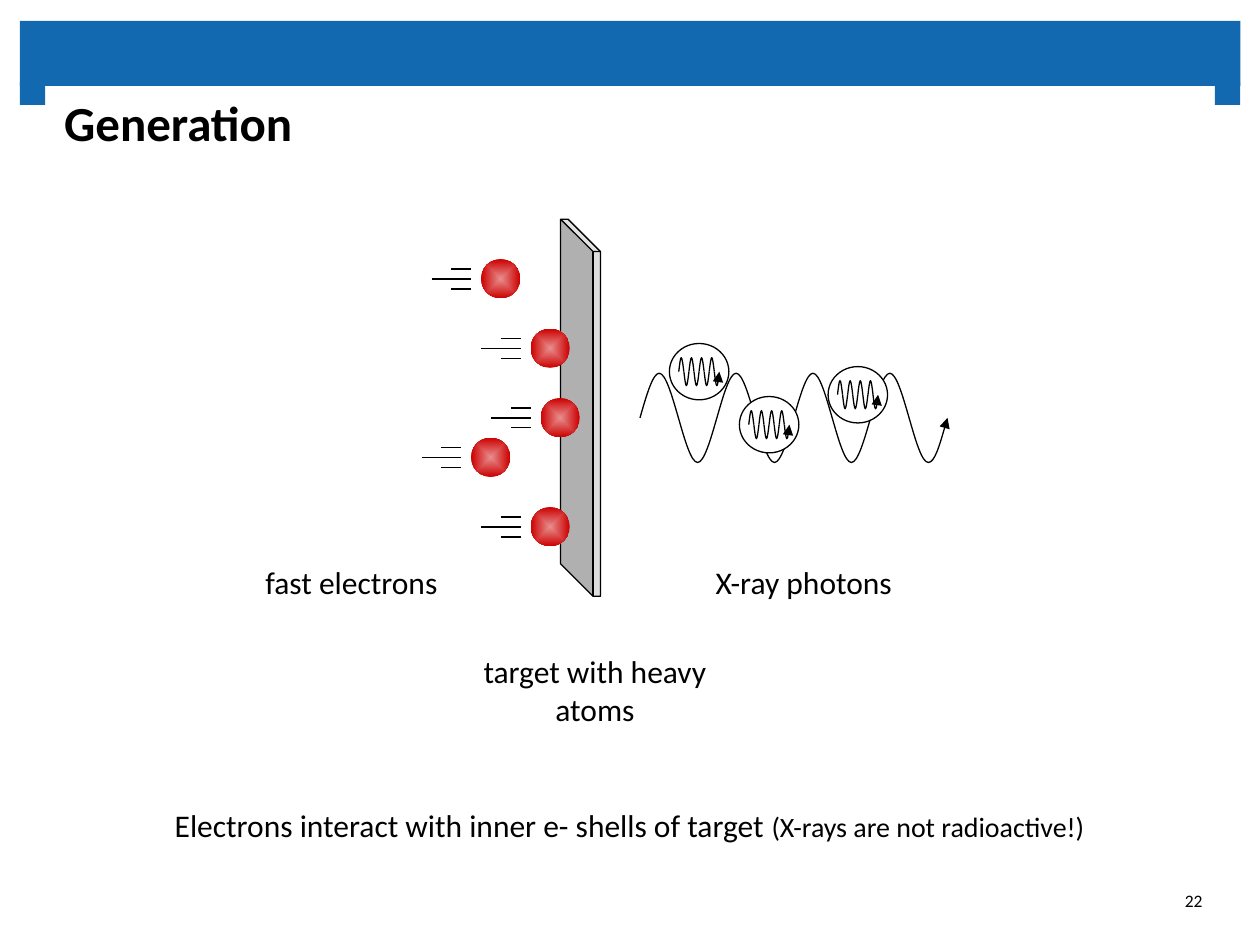
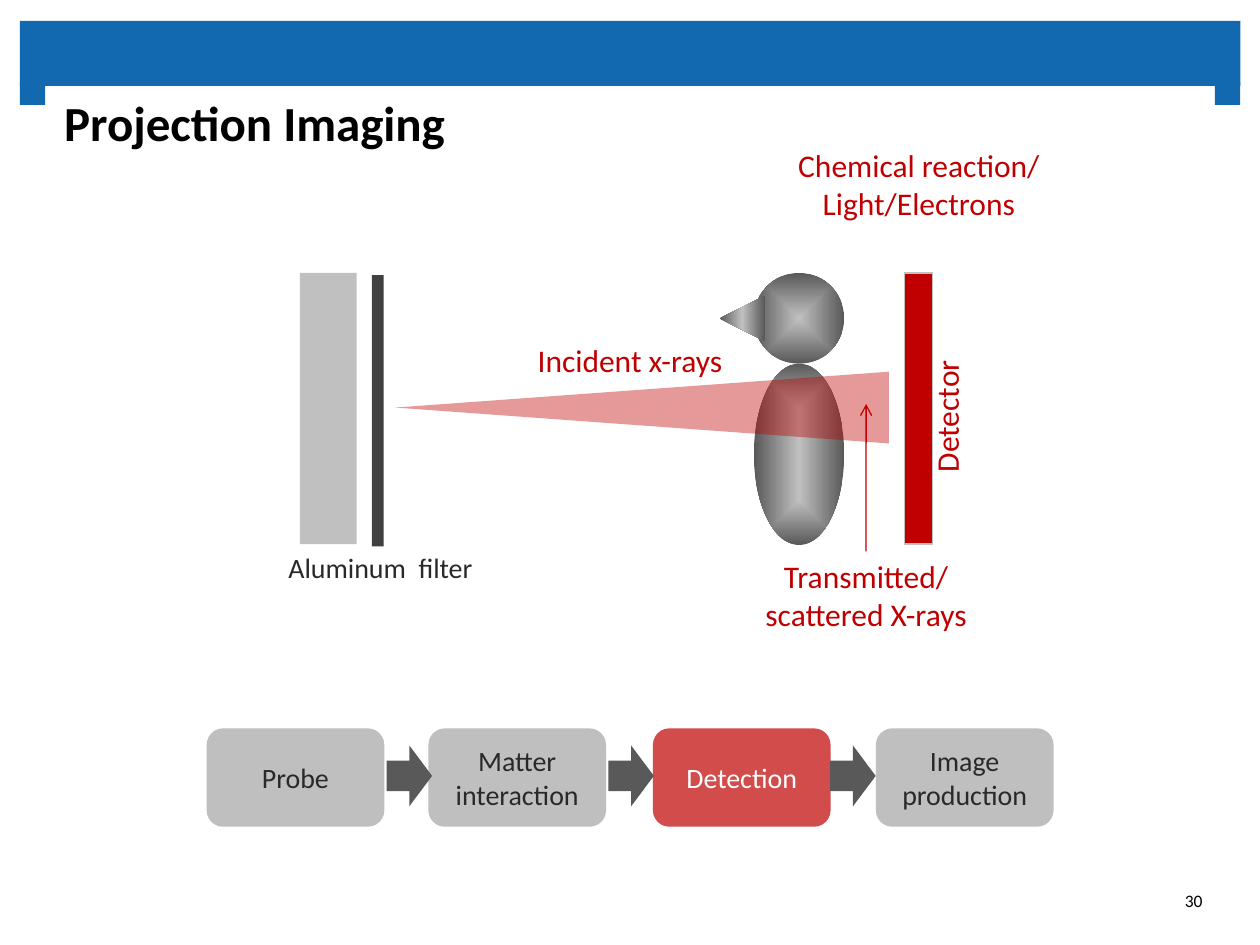
import lxml.etree
import pptx
import pptx.dml.color
import pptx.enum.shapes
import pptx.enum.text
import pptx.oxml.ns
import pptx.util

Pt = pptx.util.Pt
Kind = pptx.enum.shapes.MSO_SHAPE
Link = pptx.enum.shapes.MSO_CONNECTOR
Align = pptx.enum.text.PP_ALIGN
Anchor = pptx.enum.text.MSO_ANCHOR
qn = pptx.oxml.ns.qn

# Shared look
FONT = "Calibri"
BLUE, BLACK, WHITE, INK = "1269B0", "000000", "FFFFFF", "292929"
RED, SILVER, PALE, GRAY, DARK = "C00000", "C0C0C0", "BFBFBF", "595959", "404040"
THIN = 0.75
TITLE = (25.2, 48.6, 669, 46)
NUMBER = (532.2, 500.4, 162, 28.8)
BAND = [(11.4, 12, 697.4, 37.2), (11.4, 46.8, 14.5, 13.2), (694.2, 46.8, 14.5, 13.2)]

# Content: Generation
BALL = 22.4
BALLS = [(274.9, 148.1), (303.2, 187.8), (308.9, 227.5), (269.2, 250.1), (303.2, 289.8)]
TRAILS = [(-17, 5.6), (-28.3, 11.3), (-17, 17)]
PLATE = (320.4, 125.3, 22.8, 215.5)
PHOTONS = [(382.5, 196.3), (422.5, 226.6), (473.2, 209.5)]
LABELS = [
    ("fast electrons", (144.6, 318.2, 164, 31), Align.LEFT),
    ("target with heavy atoms", (258, 369, 164, 55), Align.CENTER),
    ("X-ray photons", (377.3, 318.2, 164, 31), Align.CENTER),
]
CLAIM = "Electrons interact with inner e- shells of target "
ASIDE = "(X-rays are not radioactive!)"

# Content: Projection Imaging
NOTES = [
    ("Aluminum  filter", (133.2, 311, 168.5, 27), 16, INK),
    ("Chemical reaction/\nLight/Electrons", (407.1, 79.9, 236, 51), 18, RED),
    ("Incident x-rays", (242, 191.5, 236, 29), 18, RED),
    ("Transmitted/\nscattered X-rays", (376.9, 315, 236, 51), 18, RED),
]
STEPS = [
    ("Probe", 118.1, PALE, INK, None),
    ("Matter\ninteraction", 244.8, PALE, INK, None),
    ("Detection", 373.1, RED, WHITE, 70),
    ("Image\nproduction", 500.5, PALE, INK, None),
]


def color(text):
    return pptx.dml.color.RGBColor.from_string(text)


def tag(parent, name, **attrs):
    return lxml.etree.SubElement(parent, qn(name), attrs)


def pen(shape, hue):
    if hue:
        shape.line.color.rgb = color(hue)
        shape.line.width = Pt(THIN)
    else:
        shape.line.fill.background()


def paint(shape, fill, line=None, alpha=None):
    shape.shadow.inherit = False
    if fill:
        shape.fill.solid()
        shape.fill.fore_color.rgb = color(fill)
        if alpha:
            hue = shape._element.spPr.find(".//" + qn("a:srgbClr"))
            tag(hue, "a:alpha", val=str(alpha * 1000))
    else:
        shape.fill.background()
    pen(shape, line)


def draw(slide, kind, box, fill=None, line=None, alpha=None, turn=0):
    shape = slide.shapes.add_shape(kind, *map(Pt, box))
    shape.rotation = turn
    paint(shape, fill, line, alpha)
    return shape


def blend(shape, stops, angle=None):
    """Gradient fill: linear with an angle, else from the centre outwards."""
    props = shape._element.spPr
    grad = lxml.etree.Element(qn("a:gradFill"), rotWithShape="1")
    stop_list = tag(grad, "a:gsLst")
    for place, hue in stops:
        stop = tag(stop_list, "a:gs", pos=str(place * 1000))
        tag(stop, "a:srgbClr", val=hue)
    if angle is None:
        route = tag(grad, "a:path")
        route.set("path", "shape")
        tag(route, "a:fillToRect", l="50000", t="50000", r="50000", b="50000")
    else:
        tag(grad, "a:lin", ang=str(angle * 60000), scaled="0")
    props.replace(props.find(qn("a:noFill")), grad)


def write(shape, text, size, hue=BLACK, align=Align.CENTER, anchor=Anchor.TOP, inset=None):
    frame = shape.text_frame
    frame.word_wrap = True
    frame.vertical_anchor = anchor
    if inset is not None:
        frame.margin_left, frame.margin_top, frame.margin_right, frame.margin_bottom = map(Pt, inset)
    para = frame.paragraphs[0]
    para.text = text
    para.alignment = align
    para.font.name = FONT
    para.font.size = Pt(size)
    para.font.color.rgb = color(hue)
    return para


def label(slide, text, box, size=18, hue=BLACK, align=Align.CENTER, anchor=Anchor.TOP):
    return write(slide.shapes.add_textbox(*map(Pt, box)), text, size, hue, align, anchor)


def link(slide, kind, start, end, hue):
    line = slide.shapes.add_connector(kind, *map(Pt, start + end))
    pen(line, hue)
    tag(line._element.spPr, "a:effectLst")
    return line


def point(shape, head):
    tag(shape.line._get_or_add_ln(), "a:tailEnd", type=head)


def bend(curve, crest):
    """Turn the two straight legs of a half wave into curves."""
    wide, high = curve.width, curve.height
    top, foot = (0, high) if crest else (high, 0)
    legs = [
        [(wide / 6, high / 2), (wide / 3, top), (wide / 2, top)],
        [(wide * 2 / 3, top), (wide * 5 / 6, high / 2), (wide, foot)],
    ]
    for old, spots in zip(curve._element.findall(".//" + qn("a:lnTo")), legs):
        new = lxml.etree.Element(qn("a:cubicBezTo"))
        for x, y in spots:
            tag(new, "a:pt", x=str(round(x)), y=str(round(y)))
        old.getparent().replace(old, new)


def wave(slide, left, mid, half, height, fill=None):
    """Eight half waves, the last one with an arrowhead."""
    for i in range(8):
        crest = i % 2 == 0
        peak = mid - height if crest else mid + height
        x = left + i * half
        pencil = slide.shapes.build_freeform(Pt(x), Pt(mid))
        pencil.add_line_segments([(Pt(x + half / 2), Pt(peak)), (Pt(x + half), Pt(mid))], close=False)
        curve = pencil.convert_to_shape()
        bend(curve, crest)
        paint(curve, fill, BLACK)
    point(curve, "triangle")


def start(deck, title, number):
    slide = deck.slides.add_slide(deck.slide_layouts[5])
    head = slide.shapes.title
    head.left, head.top, head.width, head.height = map(Pt, TITLE)
    para = write(head, title, 28, align=Align.LEFT, inset=(11.5, 4.3, 11.5, 0))
    para.font.bold = True
    label(slide, number, NUMBER, 10, align=Align.RIGHT, anchor=Anchor.MIDDLE)
    return slide


def brand(slide):
    """Move the blue band to the layout, so that every slide has it."""
    for box in BAND:
        part = draw(slide, Kind.RECTANGLE, box, BLUE)
        slide.slide_layout.shapes._spTree.append(part._element)


def generate(slide):
    wave(slide, 365.7, 238.8, 21.97, 25.5)

    # Target plate
    plate = draw(slide, Kind.CUBE, PLATE, "DDDDDD", BLACK)
    plate.adjustments[0] = 0.813
    plate._element.spPr.find(qn("a:xfrm")).set("flipH", "1")

    # Electrons with speed lines
    for x, y in BALLS:
        ball = draw(slide, Kind.OVAL, (x, y, BALL, BALL))
        blend(ball, [(0, "E88E8E"), (100, "CC0000")])
        for dx, dy in TRAILS:
            link(slide, Link.STRAIGHT, (x + dx, y + dy), (x - 5.6, y + dy), BLACK)

    for text, box, align in LABELS:
        label(slide, text, box, align=align)
    para = label(slide, CLAIM, (31.1, 457.2, 657.4, 31))
    run = para.add_run()
    run.text = ASIDE
    run.font.size = Pt(16)

    # Photons
    for x, y in PHOTONS:
        draw(slide, Kind.OVAL, (x, y, 34, 32.2), WHITE, BLACK)
        wave(slide, x + 5.4, y + 16.1, 2.9, 8, WHITE)


def project(slide):
    # Source and filter
    draw(slide, Kind.RECTANGLE, (171.4, 156, 32.4, 155), SILVER)
    draw(slide, Kind.RECTANGLE, (212.5, 157.2, 6.8, 155), DARK)

    # Patient: head, body, nose
    for top, height in [(156, 51.8), (207.8, 103.6)]:
        part = draw(slide, Kind.OVAL, (430.8, top, 51.6, height))
        blend(part, [(0, SILVER), (100, GRAY)])
    nose = draw(slide, Kind.ISOSCELES_TRIANGLE, (411.2, 169, 25.9, 25.9), turn=270)
    blend(nose, [(0, GRAY), (50, SILVER), (100, GRAY)], 90)

    # Detector and beam
    draw(slide, Kind.RECTANGLE, (517, 156, 15.8, 155), RED, SILVER)
    name = draw(slide, Kind.OVAL, (460.8, 212, 175, 51.8), turn=270)
    write(name, "Detector", 18, RED, inset=(0, 0, 0, 0))
    draw(slide, Kind.ISOSCELES_TRIANGLE, (346.4, 91.8, 41, 282.2), RED, alpha=40, turn=270)

    for text, box, size, hue in NOTES:
        label(slide, text, box, size, hue)
    arrow = link(slide, Link.CURVE, (537, 273.1), (452.8, 273), RED)
    arrow._element.spPr.find(qn("a:xfrm")).set("rot", str(90 * 60000))
    point(arrow, "arrow")

    # Process chain
    for text, left, fill, hue, alpha in STEPS:
        step = draw(slide, Kind.ROUNDED_RECTANGLE, (left, 416.2, 101.5, 56.2), fill, alpha=alpha)
        write(step, text, 16, hue, anchor=Anchor.MIDDLE, inset=(0, 0, 0, 0))
    for i in range(len(STEPS) - 1):
        draw(slide, Kind.RIGHT_ARROW, (220.9 + 126.75 * i, 426, 26, 34.8), GRAY)


def main():
    deck = pptx.Presentation()
    deck.slide_width, deck.slide_height = Pt(720), Pt(540)
    first = start(deck, "Generation", "22")
    brand(first)
    generate(first)
    project(start(deck, "Projection Imaging", "30"))
    deck.save("out.pptx")


if __name__ == "__main__":
    main()
